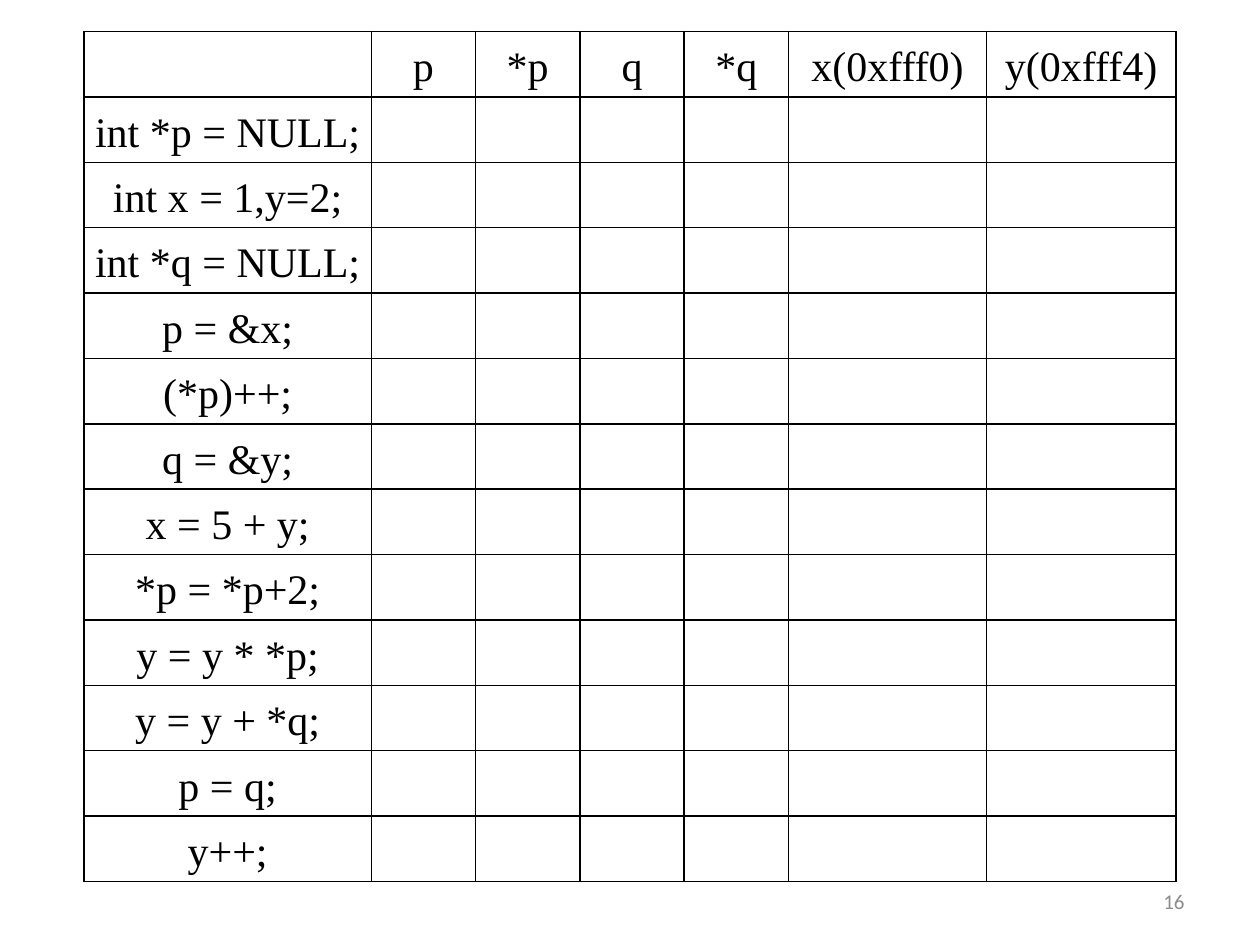
from lxml import etree
from pptx import Presentation
from pptx.dml.color import RGBColor
from pptx.enum.text import MSO_ANCHOR, PP_ALIGN
from pptx.oxml.ns import qn
from pptx.util import Pt

MIDDLE = MSO_ANCHOR.MIDDLE
CENTER = PP_ALIGN.CENTER
RIGHT = PP_ALIGN.RIGHT
BLACK = RGBColor(0x00, 0x00, 0x00)
GRAY = RGBColor(0x8C, 0x8C, 0x8C)

CODE_FONT = {"name": "Times New Roman", "size": Pt(24), "color": BLACK}
NUMBER_FONT = {"name": "Calibri", "size": Pt(12), "color": GRAY}
CELL_FORMAT = {
    "vertical_anchor": MIDDLE,
    "margin_left": Pt(5),
    "margin_right": Pt(5),
    "margin_top": 0,
    "margin_bottom": 0,
}

VARIABLES = ["", "p", "*p", "q", "*q", "x(0xfff0)", "y(0xfff4)"]
STATEMENTS = [
    "int *p = NULL;",
    "int x = 1,y=2;",
    "int *q = NULL;",
    "p = &x;",
    "(*p)++;",
    "q = &y;",
    "x = 5 + y;",
    "*p = *p+2;",
    "y = y * *p;",
    "y = y + *q;",
    "p = q;",
    "y++;",
]
COLUMN_WIDTHS = [164.2] + [59.6] * 4 + [113.2, 108.2]
ROW_HEIGHT = 37.38


class SlideBuilder:
    """Adds styled tables and text to the current slide."""

    def __init__(self, page, border_width=1, line_spacing=1.15):
        self.page = page
        self.border_width = border_width
        self.line_spacing = line_spacing

    def fill_para(self, para, text, alignment, font):
        para.alignment = alignment
        span = para.add_run()
        span.text = text
        for key, value in font.items():
            if key == "color":
                span.font.color.rgb = value
            else:
                setattr(span.font, key, value)

    def text(self, text, left, top, width, height, alignment, font):
        box = self.page.shapes.add_textbox(Pt(left), Pt(top), Pt(width), Pt(height))
        box.text_frame.word_wrap = True
        box.text_frame.vertical_anchor = MIDDLE
        self.fill_para(box.text_frame.paragraphs[0], text, alignment, font)

    def border(self, cell):
        properties = cell._tc.get_or_add_tcPr()
        for side in ("lnL", "lnR", "lnT", "lnB"):
            line = etree.SubElement(
                properties, qn(f"a:{side}"), w=str(Pt(self.border_width))
            )
            fill = etree.SubElement(line, qn("a:solidFill"))
            etree.SubElement(fill, qn("a:srgbClr"), val=str(BLACK))

    def cell(self, cell, text):
        for key, value in CELL_FORMAT.items():
            setattr(cell, key, value)
        self.border(cell)
        cell.fill.background()
        if text:
            para = cell.text_frame.paragraphs[0]
            para.line_spacing = self.line_spacing
            self.fill_para(para, text, CENTER, CODE_FONT)

    def table(self, rows, left, top, widths, row_height):
        table = self.page.shapes.add_table(
            len(rows), len(widths), Pt(left), Pt(top),
            Pt(sum(widths)), Pt(row_height * len(rows)),
        ).table
        table.first_row = False
        table.horz_banding = False
        for column, width in zip(table.columns, widths):
            column.width = Pt(width)
        for row, texts in zip(table.rows, rows):
            row.height = Pt(row_height)
            for cell, text in zip(row.cells, texts):
                self.cell(cell, text)


def main():
    deck = Presentation()
    deck.slide_width = Pt(720)
    deck.slide_height = Pt(540)
    builder = SlideBuilder(deck.slides.add_slide(deck.slide_layouts[6]))
    builder.text("16", 516, 500.5, 168, 28.75, RIGHT, NUMBER_FONT)
    blanks = [""] * (len(VARIABLES) - 1)
    rows = [VARIABLES] + [[statement] + blanks for statement in STATEMENTS]
    builder.table(rows, 48, 18, COLUMN_WIDTHS, ROW_HEIGHT)
    deck.save("out.pptx")


if __name__ == "__main__":
    main()
